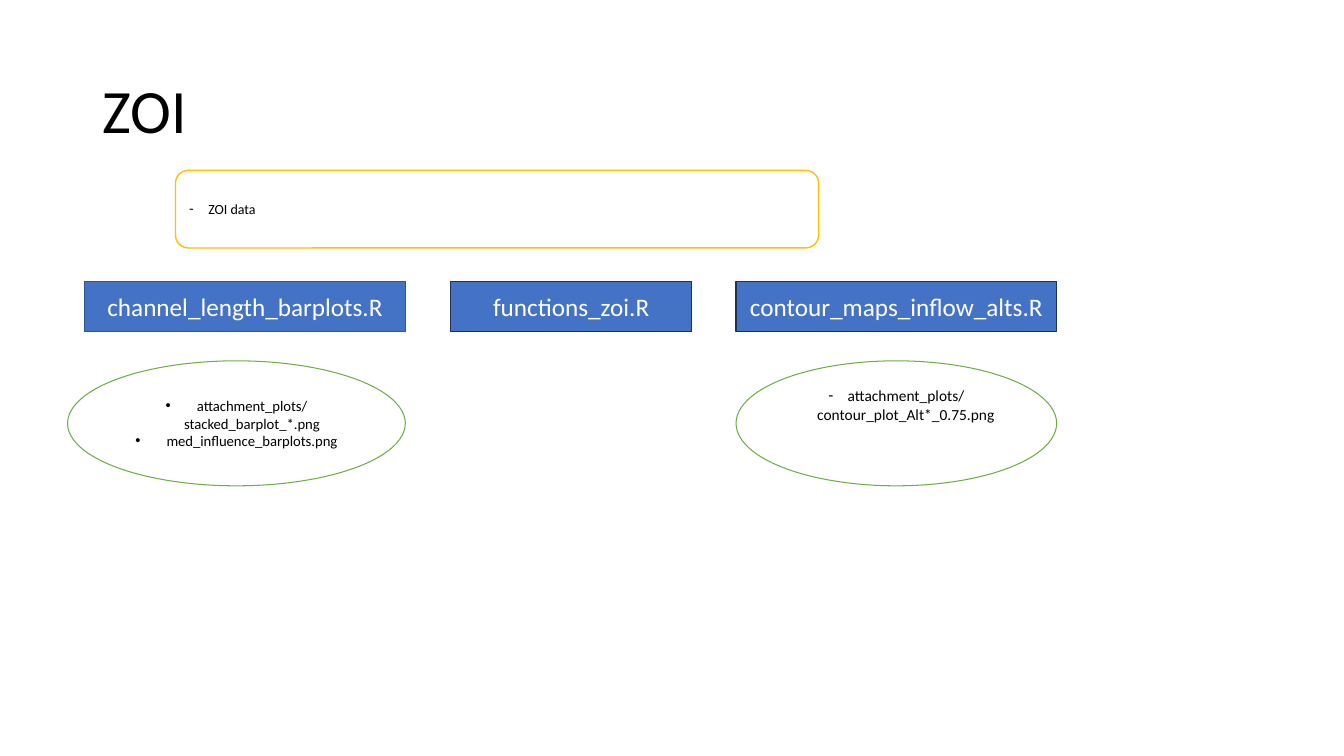
from lxml import etree
from pptx import Presentation
from pptx.dml.color import RGBColor
from pptx.enum.shapes import MSO_SHAPE as SHAPE
from pptx.enum.text import MSO_ANCHOR as ANCHOR, PP_ALIGN as ALIGN
from pptx.oxml.ns import qn
from pptx.util import Inches, Pt

FONT = "Calibri"
COLORS = {
    "black": "000000",
    "white": "FFFFFF",
    "script": "4472C4",
    "script_edge": "2F5597",
    "script_dark_edge": "1E3256",
    "data_edge": "FFC000",
    "output_edge": "70AD47",
}
SCRIPT_TOP, SCRIPT_HEIGHT = 2.79, 0.5
OUTPUT_TOP, OUTPUT_HEIGHT = 3.58, 1.24


def rgb(name):
    return RGBColor.from_string(COLORS[name])


def write(p, text, size, color="black", align=ALIGN.LEFT):
    p.alignment = align
    r = p.add_run()
    r.text = text
    r.font.name = FONT
    r.font.size = Pt(size)
    r.font.color.rgb = rgb(color)


def add_bullet(p, char, indent):
    """Give the paragraph a bullet with a hanging indent in inches."""
    pPr = p._p.get_or_add_pPr()
    pPr.set("marL", str(Inches(indent)))
    pPr.set("indent", str(-Inches(indent)))
    etree.SubElement(pPr, qn("a:buFont")).set("typeface", "Arial")
    etree.SubElement(pPr, qn("a:buChar")).set("char", char)


def add_box(slide, kind, box, edge, width, fill=None):
    sp = slide.shapes.add_shape(kind, *map(Inches, box))
    sp.shadow.inherit = False
    if fill:
        sp.fill.solid()
        sp.fill.fore_color.rgb = rgb(fill)
    else:
        sp.fill.background()
    sp.line.color.rgb = rgb(edge)
    sp.line.width = Pt(width)
    tf = sp.text_frame
    tf.word_wrap = True
    tf.vertical_anchor = ANCHOR.MIDDLE
    return tf


def add_title(slide, text):
    sp = slide.shapes.add_textbox(Inches(0.92), Inches(0.4), Inches(11.5), Inches(1.45))
    tf = sp.text_frame
    tf.word_wrap = True
    tf.vertical_anchor = ANCHOR.MIDDLE
    p = tf.paragraphs[0]
    p.line_spacing = 0.9
    write(p, text, 44)


def add_script(slide, left, width, name, edge):
    box = (left, SCRIPT_TOP, width, SCRIPT_HEIGHT)
    tf = add_box(slide, SHAPE.RECTANGLE, box, edge, 1, "script")
    write(tf.paragraphs[0], name, 18, "white", ALIGN.CENTER)


def add_list(tf, items, size, char, indent, align=ALIGN.LEFT):
    for i, item in enumerate(items):
        p = tf.add_paragraph() if i else tf.paragraphs[0]
        write(p, item, size, align=align)
        add_bullet(p, char, indent)


def add_output(slide, left, width, files, size, char, indent):
    """Draw an ellipse listing the files that a script writes."""
    box = (left, OUTPUT_TOP, width, OUTPUT_HEIGHT)
    tf = add_box(slide, SHAPE.OVAL, box, "output_edge", 0.75)
    add_list(tf, files, size, char, indent, ALIGN.CENTER)
    return tf


def main():
    prs = Presentation()
    prs.slide_width, prs.slide_height = Inches(13.33), Inches(7.5)
    slide = prs.slides.add_slide(prs.slide_layouts[6])

    add_title(slide, "ZOI")
    data = add_box(slide, SHAPE.ROUNDED_RECTANGLE, (1.74, 1.69, 6.38, 0.77),
                   "data_edge", 1, "white")
    add_list(data, ["ZOI data"], 10, "-", 0.19)

    for left, width, name, edge in (
        (0.84, 3.18, "channel_length_barplots.R", "script_edge"),
        (4.47, 2.39, "functions_zoi.R", "script_dark_edge"),
        (7.3, 3.18, "contour_maps_inflow_alts.R", "script_dark_edge"),
    ):
        add_script(slide, left, width, name, edge)

    add_output(slide, 0.67, 3.35,
               ["attachment_plots/stacked_barplot_*.png", "med_influence_barplots.png"],
               10.5, "•", 0.31)
    contours = add_output(slide, 7.3, 3.18,
                          ["attachment_plots/contour_plot_Alt*_0.75.png"],
                          11, "-", 0.19)
    contours.margin_bottom = Inches(0.42)

    prs.save("out.pptx")


if __name__ == "__main__":
    main()
